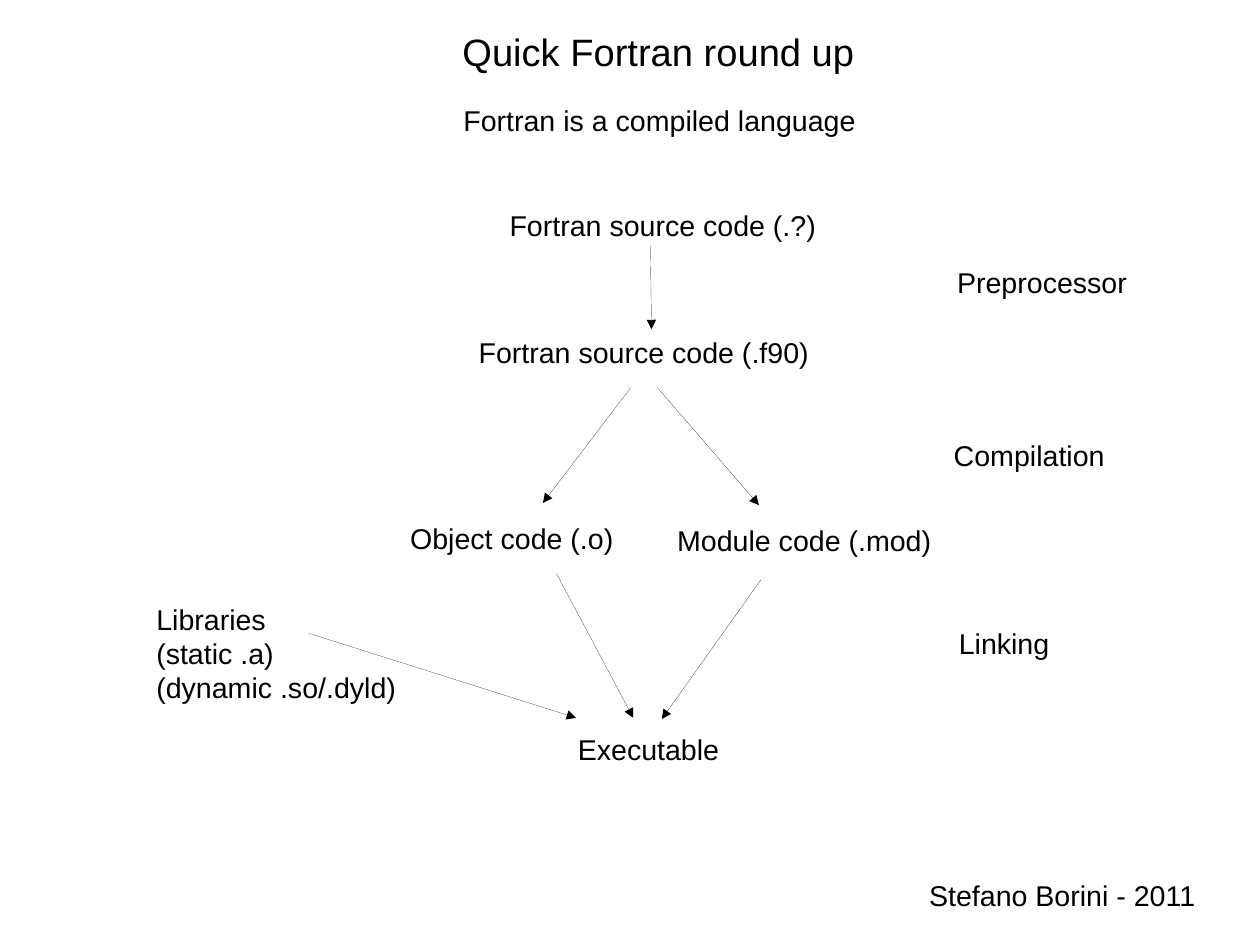
from dataclasses import dataclass

import lxml.etree
import pptx
import pptx.dml.color
import pptx.enum.shapes
import pptx.enum.text
import pptx.oxml.ns
import pptx.slide
import pptx.util

Pt = pptx.util.Pt
FONT = "Arial"
BLACK = "000000"


@dataclass
class Label:
    text: str
    left: float
    top: float
    width: float
    height: float = 27.3
    size: float = 18


@dataclass
class Arrow:
    start_x: float
    start_y: float
    end_x: float
    end_y: float


HEADINGS = [
    Label("Quick Fortran round up", 284.2, 14.4, 262, 33.8, 24),
    Label("Fortran is a compiled language", 284.8, 61.2, 262),
    Label("Stefano Borini - 2011", 578.2, 549.2, 182.6),
]
FILES = [
    Label("Fortran source code (.?)", 313.9, 127.2, 207.8),
    Label("Fortran source code (.f90)", 294.4, 207.3, 223),
    Label("Object code (.o)", 251.3, 324.7, 143),
    Label("Module code (.mod)", 419.5, 326.1, 174.9),
    Label("Libraries\n(static .a)\n(dynamic .so/.dyld)", 91.4, 375.6, 166, 67.7),
    Label("Executable", 356.9, 457.7, 103.7),
]
STAGES = [
    Label("Preprocessor", 595.8, 163.4, 121.8),
    Label("Compilation", 593.7, 272.2, 109.9),
    Label("Linking", 596.9, 390.8, 71.6),
]
ARROWS = [
    Arrow(409.7, 154.1, 410.4, 207.4),  # source to preprocessed source
    Arrow(397.4, 244.1, 342, 316.8),  # preprocessed source to object
    Arrow(414, 244.1, 478.1, 318.2),  # preprocessed source to module
    Arrow(350.6, 361.4, 398.9, 452.2),  # object to executable
    Arrow(479.5, 365, 416.9, 452.9),  # module to executable
    Arrow(194.4, 398.9, 362.9, 452.2),  # libraries to executable
]


def color(value: str) -> pptx.dml.color.RGBColor:
    return pptx.dml.color.RGBColor.from_string(value)


def draw_label(slide: pptx.slide.Slide, label: Label) -> None:
    shape = slide.shapes.add_textbox(
        Pt(label.left), Pt(label.top), Pt(label.width), Pt(label.height))
    frame = shape.text_frame
    frame.word_wrap = False
    frame.auto_size = pptx.enum.text.MSO_AUTO_SIZE.SHAPE_TO_FIT_TEXT
    for index, line in enumerate(label.text.split("\n")):
        paragraph = frame.add_paragraph() if index else frame.paragraphs[0]
        run = paragraph.add_run()
        run.text = line
        run.font.name = FONT
        run.font.size = Pt(label.size)
        run.font.color.rgb = color(BLACK)


def draw_arrow(slide: pptx.slide.Slide, arrow: Arrow) -> None:
    connector = slide.shapes.add_connector(
        pptx.enum.shapes.MSO_CONNECTOR.STRAIGHT,
        Pt(arrow.start_x), Pt(arrow.start_y), Pt(arrow.end_x), Pt(arrow.end_y))
    connector.line.color.rgb = color(BLACK)
    # Explicit hairline width, arrowhead and no shadow
    properties = connector._element.spPr
    outline = properties.find(pptx.oxml.ns.qn("a:ln"))
    outline.set("w", "0")
    lxml.etree.SubElement(outline, pptx.oxml.ns.qn("a:tailEnd"), type="triangle")
    lxml.etree.SubElement(properties, pptx.oxml.ns.qn("a:effectLst"))


def main() -> None:
    presentation = pptx.Presentation()
    presentation.slide_width = Pt(793.7)
    presentation.slide_height = Pt(595.28)
    slide = presentation.slides.add_slide(presentation.slide_layouts[6])

    # Texts, then the arrows of the build flow
    for label in HEADINGS + FILES + STAGES:
        draw_label(slide, label)
    for arrow in ARROWS:
        draw_arrow(slide, arrow)

    presentation.save("out.pptx")


if __name__ == "__main__":
    main()
